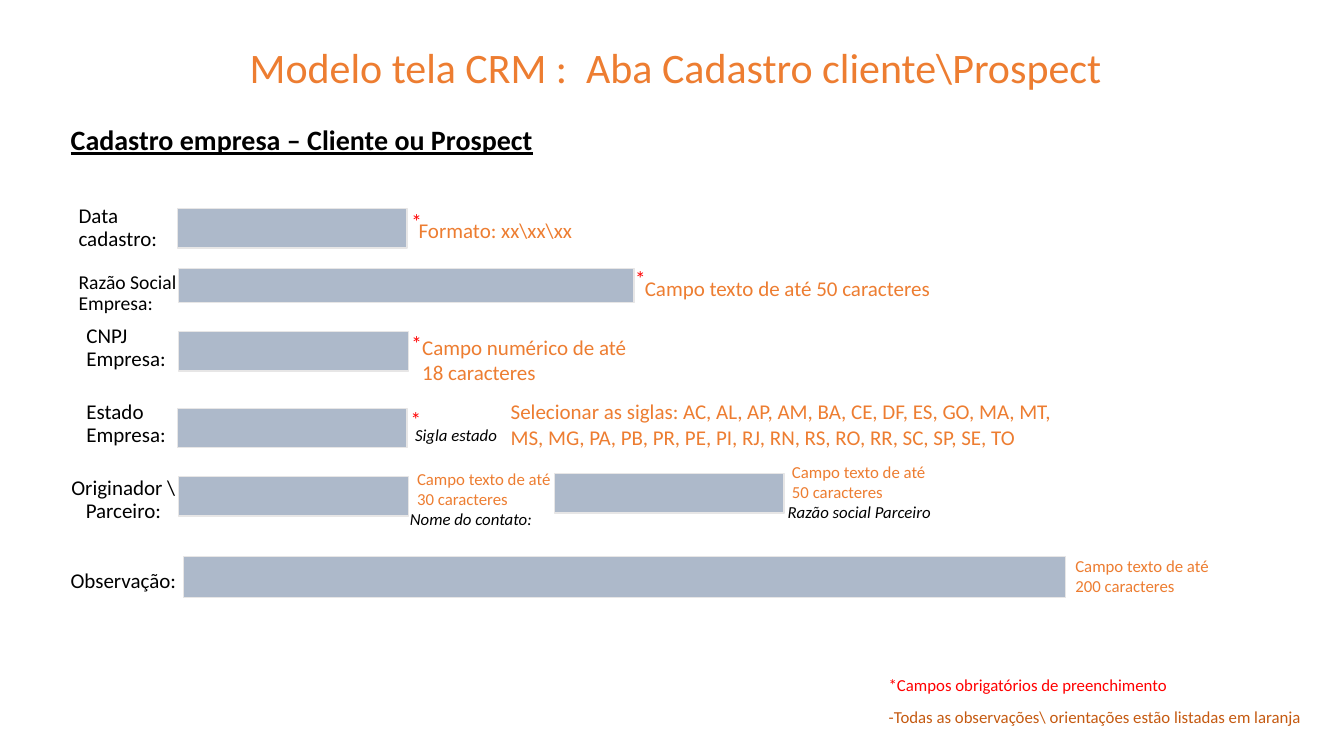
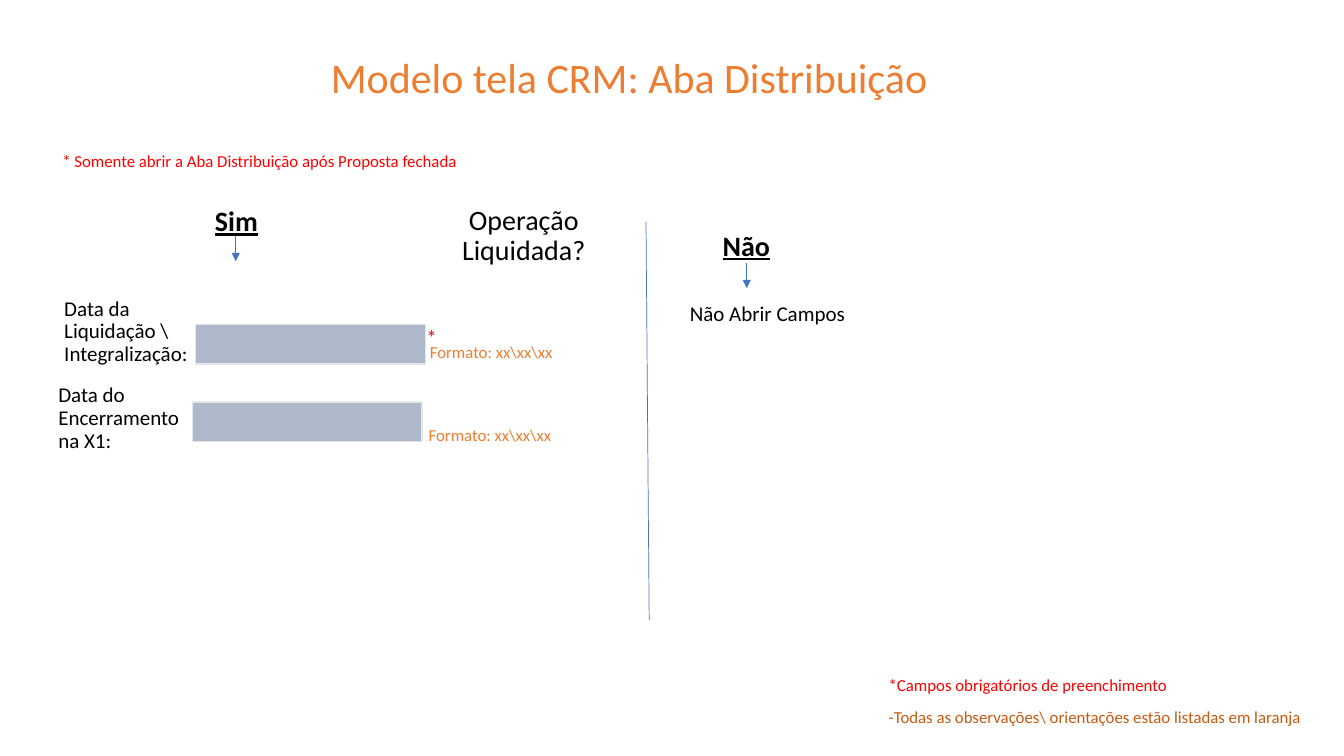
from dataclasses import dataclass, replace
from typing import Optional

from lxml import etree
from pptx import Presentation
from pptx import util as u
from pptx.dml import color
from pptx.enum import shapes, text
from pptx.oxml import ns
from pptx.slide import Slide

COLORS = {
    "black": "000000",
    "orange": "ED7D31",
    "dark orange": "C55A11",
    "red": "FF0000",
    "field": "ADB9CA",
    "field edge": "E7E6E6",
    "line": "4472C4",
}
FONT = "Calibri"
FIELD_WIDTH, FIELD_HEIGHT = 5.79, 0.99
STAR_WIDTH, STAR_HEIGHT = 1.6, 1.52
LEFT, CENTER = text.PP_ALIGN.LEFT, text.PP_ALIGN.CENTER


@dataclass(frozen=True)
class Style:
    """Look of a text; tight text sits at the bottom of its box."""
    size: int
    color: str = "black"
    align: text.PP_ALIGN = LEFT
    tight: bool = True
    bold: Optional[bool] = None
    italic: Optional[bool] = None
    underline: Optional[bool] = None


TITLE = Style(30, "orange", CENTER)
HEADING = Style(20, align=CENTER, bold=True, underline=True)
QUESTION = Style(20, align=CENTER)
LABEL = Style(15)
CENTERED_LABEL = replace(LABEL, align=CENTER)
SMALL_LABEL = Style(14)
CAPTION = Style(12, italic=True)
CENTERED_CAPTION = replace(CAPTION, align=CENTER)
HINT = Style(15, "orange", tight=False)
CENTERED_HINT = replace(HINT, align=CENTER)
SMALL_HINT = replace(HINT, size=12)
SMALL_CENTERED_HINT = replace(SMALL_HINT, align=CENTER)
STAR = Style(15, "red", CENTER)
WARNING = Style(12, "red")
REQUIRED_FOOTER = Style(12, "red", CENTER)
HINTS_FOOTER = Style(12, "dark orange", CENTER)


@dataclass(frozen=True)
class Words:
    """Text box, in centimetres."""
    content: str
    style: Style
    left: float
    top: float
    width: float
    height: float


@dataclass(frozen=True)
class Field:
    """Blank form field, in centimetres."""
    left: float
    top: float
    width: float = FIELD_WIDTH
    height: float = FIELD_HEIGHT


@dataclass(frozen=True)
class Line:
    """Straight line, in centimetres, with an optional arrowhead at its end."""
    left: float
    top: float
    right: float
    bottom: float
    arrow: bool = False


def star(left: float, top: float) -> Words:
    """Mark of a required field."""
    return Words("*", STAR, left, top, STAR_WIDTH, STAR_HEIGHT)


FOOTERS = [
    Words("-Todas as observações\\ orientações estão listadas em laranja",
          HINTS_FOOTER, 22.07, 17.86, 11.05, 0.58),
    Words("*Campos obrigatórios de preenchimento",
          REQUIRED_FOOTER, 21.79, 16.66, 8.23, 0.97),
]

CLIENT_FIELDS = [
    Field(4.47, 5.26),
    Field(4.5, 6.76, 11.48, 0.86),
    Field(4.5, 8.36),
    Field(4.47, 10.29),
    Field(4.5, 12.01),
    Field(13.97, 11.94),
    Field(4.62, 14.02, 22.23, 1.04),
]
CLIENT_WORDS = [
    Words(" Modelo tela CRM :  Aba Cadastro cliente\\Prospect",
          TITLE, 4.8, 0.28, 24.23, 2.18),
    Words("Cadastro empresa – Cliente ou Prospect",
          HEADING, 0.86, 3.43, 13.49, 0.64),
    Words("Data\ncadastro:", LABEL, 1.73, 5.64, 2.82, 0.81),
    Words("Razão Social Empresa:", SMALL_LABEL, 1.73, 7.24, 3.51, 0.81),
    Words("CNPJ Empresa:", LABEL, 1.93, 8.76, 3.07, 0.71),
    Words("Estado Empresa:", LABEL, 1.93, 10.16, 3.38, 1.22),
    Words("Originador \\ Parceiro:", CENTERED_LABEL, 1.04, 12.34, 4.14, 0.97),
    Words("Observação:", CENTERED_LABEL, 1.04, 14.1, 4.14, 0.97),
    Words("Formato: xx\\xx\\xx", CENTERED_HINT, 10.11, 5.36, 4.75, 0.89),
    Words("Campo texto de até 50 caracteres", HINT, 16, 6.81, 7.77, 0.89),
    Words("Campo numérico de até 18 caracteres", HINT, 10.39, 8.31, 5.92, 1.55),
    Words("Selecionar as siglas: AC, AL, AP, AM, BA, CE, DF, ES, GO, MA, MT, "
          "MS, MG, PA, PB, PR, PE, PI, RJ, RN, RS, RO, RR, SC, SP, SE, TO",
          HINT, 12.62, 9.93, 14.5, 1.55),
    Words("Campo texto de até 30 caracteres", SMALL_HINT, 10.26, 11.68, 4.19, 1.27),
    Words("Campo texto de até 50 caracteres", SMALL_HINT, 19.71, 11.51, 4.19, 1.27),
    Words("Campo texto de até 200 caracteres", SMALL_HINT, 26.85, 13.87, 4.19, 1.27),
    Words("Sigla estado", CAPTION, 10.21, 10.74, 3.43, 0.61),
    Words("Nome do contato:", CAPTION, 10.08, 12.88, 3.99, 0.58),
    Words("Razão social Parceiro", CENTERED_CAPTION, 19.56, 12.7, 4.19, 0.58),
    star(9.7, 4.5),
    star(15.34, 5.94),
    star(9.7, 7.59),
    star(9.68, 9.5),
]

DISTRIBUTION_FIELDS = [Field(4.93, 8.18), Field(4.85, 10.13)]
DISTRIBUTION_LINES = [
    Line(5.94, 5.94, 5.94, 6.58, arrow=True),
    Line(18.82, 6.63, 18.82, 7.26, arrow=True),
    Line(16.28, 5.59, 16.36, 15.62),
]
DISTRIBUTION_WORDS = [
    Words("Modelo tela CRM: Aba Distribuição", TITLE, 4.95, 0.53, 21.82, 2.18),
    Words("* Somente abrir a Aba Distribuição após Proposta fechada",
          WARNING, 1.32, 3.58, 12.19, 0.86),
    Words("Sim", HEADING, 4.88, 5.36, 2.16, 0.76),
    Words("Operação Liquidada?", QUESTION, 10.24, 5.99, 5.92, 0.86),
    Words("Não", HEADING, 17.73, 5.97, 2.16, 0.76),
    Words("Não Abrir Campos", CENTERED_LABEL, 16.94, 7.54, 4.8, 0.79),
    Words("Data da Liquidação \\ Integralização:", LABEL, 1.37, 8.61, 3.66, 0.74),
    Words("Data do Encerramento\nna X1:", LABEL, 1.22, 10.74, 4.6, 0.79),
    Words("Formato: xx\\xx\\xx", SMALL_CENTERED_HINT, 10.49, 8.48, 3.78, 0.76),
    Words("Formato: xx\\xx\\xx", SMALL_CENTERED_HINT, 10.46, 10.57, 3.78, 0.76),
    star(10.08, 7.42),
]


def rgb(name: str) -> color.RGBColor:
    """Look up a colour by name."""
    return color.RGBColor.from_string(COLORS[name])


def draw_words(slide: Slide, words: Words) -> None:
    """Add a text box, one paragraph per line of content."""
    style = words.style
    box = slide.shapes.add_textbox(u.Cm(words.left), u.Cm(words.top),
                                   u.Cm(words.width), u.Cm(words.height))
    frame = box.text_frame
    frame.word_wrap = True
    frame.vertical_anchor = (text.MSO_ANCHOR.BOTTOM if style.tight
                             else text.MSO_ANCHOR.TOP)
    frame.text = words.content
    for paragraph in frame.paragraphs:
        paragraph.alignment = style.align
        paragraph.line_spacing = 0.9 if style.tight else 1.0
        font = paragraph.font
        font.name = FONT
        font.size = u.Pt(style.size)
        font.color.rgb = rgb(style.color)
        font.bold = style.bold
        font.italic = style.italic
        font.underline = style.underline


def draw_field(slide: Slide, field: Field) -> None:
    """Add a blank form field."""
    shape = slide.shapes.add_shape(
        shapes.MSO_SHAPE.RECTANGLE, u.Cm(field.left), u.Cm(field.top),
        u.Cm(field.width), u.Cm(field.height))
    shape.shadow.inherit = False
    shape.fill.solid()
    shape.fill.fore_color.rgb = rgb("field")
    shape.line.color.rgb = rgb("field edge")
    shape.line.width = u.Pt(1)


def draw_line(slide: Slide, line: Line) -> None:
    """Add a thin line without shadow."""
    connector = slide.shapes.add_connector(
        shapes.MSO_CONNECTOR.STRAIGHT, u.Cm(line.left), u.Cm(line.top),
        u.Cm(line.right), u.Cm(line.bottom))
    connector.line.color.rgb = rgb("line")
    connector.line.width = u.Pt(0.5)
    if line.arrow:
        outline = connector.line._get_or_add_ln()
        etree.SubElement(outline, ns.qn("a:tailEnd"), type="triangle")
    etree.SubElement(connector._element.spPr, ns.qn("a:effectLst"))


def add_form_slide(presentation: Presentation, fields: list[Field],
                   words: list[Words], lines: list[Line]) -> None:
    """Add a slide with its fields, lines, texts and the shared footers."""
    slide = presentation.slides.add_slide(presentation.slide_layouts[6])
    for field in fields:
        draw_field(slide, field)
    for line in lines:
        draw_line(slide, line)
    for item in words + FOOTERS:
        draw_words(slide, item)


def main() -> None:
    """Build and save the presentation."""
    presentation = Presentation()
    presentation.slide_width = u.Cm(33.87)
    presentation.slide_height = u.Cm(19.05)
    add_form_slide(presentation, CLIENT_FIELDS, CLIENT_WORDS, [])
    add_form_slide(presentation, DISTRIBUTION_FIELDS, DISTRIBUTION_WORDS,
                   DISTRIBUTION_LINES)
    presentation.save("out.pptx")


main()
